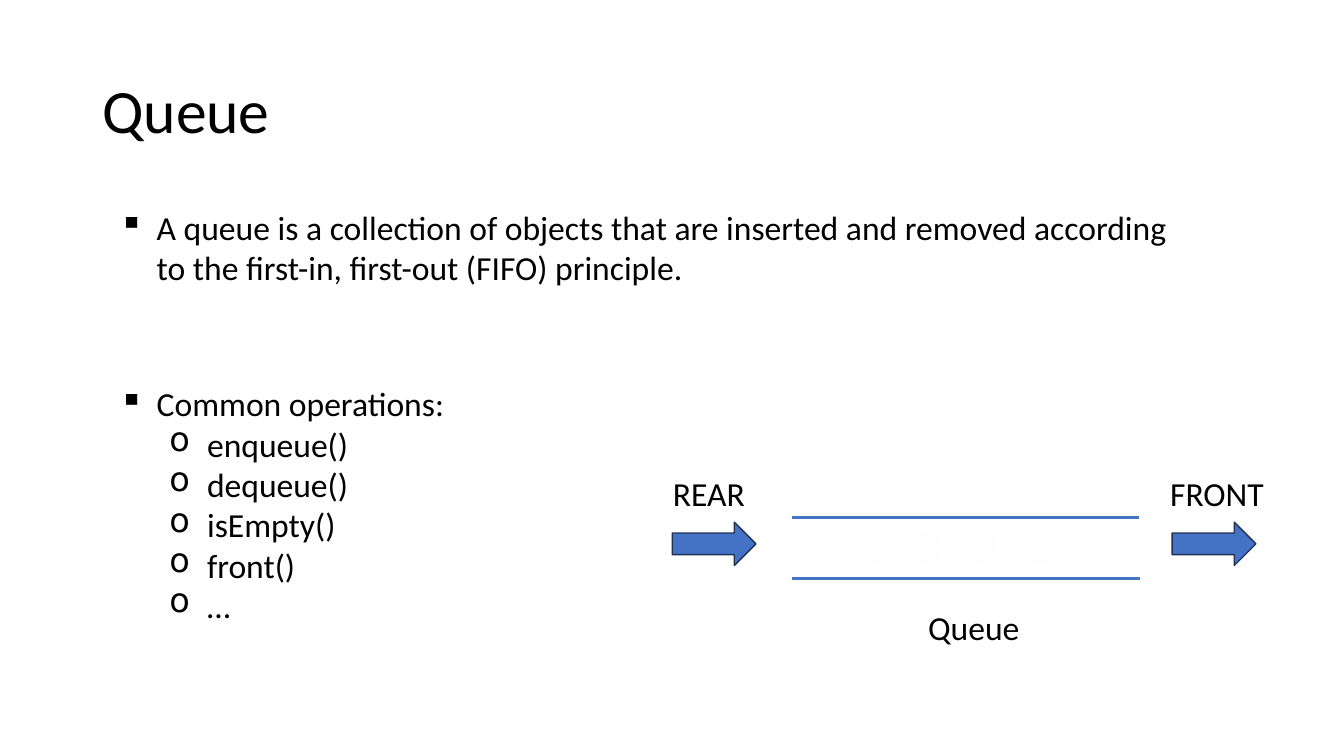
from dataclasses import dataclass

from lxml import etree
from pptx import Presentation
from pptx import util as u
from pptx.dml.color import RGBColor
from pptx.enum import shapes, text
from pptx.oxml import ns

BLACK, BLUE, NAVY, NEAR_WHITE = "000000", "4472C4", "1E3256", "FEFEFE"
BODY = {"name": "Calibri", "size": u.Pt(24)}
HEADING = {"name": "Calibri", "size": u.Pt(44)}
DIGIT = {"name": "Calibri", "size": u.Pt(40), "bold": True}
BULLETS = ("▪", "o")
HANGING = 0.95
LEVEL_INDENTS = (0.95, 2.22)


@dataclass
class Box:
    left: float
    top: float
    width: float
    height: float

    def lengths(self) -> list:
        return [u.Cm(v) for v in (self.left, self.top, self.width, self.height)]


@dataclass
class Item:
    wording: str
    level: int = 0


@dataclass
class Label:
    wording: str
    box: Box


@dataclass
class Rail:
    start: float
    end: float
    y: float


def colour(value: str) -> RGBColor:
    return RGBColor.from_string(value)


def style(font, settings: dict, hue: str = BLACK) -> None:
    for key, value in settings.items():
        setattr(font, key, value)
    font.color.rgb = colour(hue)


def add_frame(slide, box: Box, wrap: bool = True):
    frame = slide.shapes.add_textbox(*box.lengths()).text_frame
    frame.word_wrap = wrap
    return frame


def add_label(slide, label: Label, settings: dict = BODY, wrap: bool = False):
    frame = add_frame(slide, label.box, wrap)
    run = frame.paragraphs[0].add_run()
    run.text = label.wording
    style(run.font, settings)
    return frame


def add_bullets(slide, box: Box, items: list[Item], wrap: bool = True) -> None:
    frame = add_frame(slide, box, wrap)
    for index, item in enumerate(items):
        line = frame.add_paragraph() if index else frame.paragraphs[0]
        line.level = item.level
        props = line._p.get_or_add_pPr()
        props.set("marL", str(u.Cm(LEVEL_INDENTS[item.level])))
        props.set("indent", str(-u.Cm(HANGING)))
        etree.SubElement(props, ns.qn("a:buChar"), char=BULLETS[item.level])
        run = line.add_run()
        run.text = item.wording
        style(run.font, BODY)


def add_rail(slide, rail: Rail) -> None:
    line = slide.shapes.add_connector(
        shapes.MSO_CONNECTOR.STRAIGHT,
        u.Cm(rail.start), u.Cm(rail.y), u.Cm(rail.end), u.Cm(rail.y))
    line.line.color.rgb = colour(BLUE)
    line.line.width = u.Pt(2.25)
    etree.SubElement(line._element.spPr, ns.qn("a:effectLst"))


def add_arrow(slide, box: Box) -> None:
    arrow = slide.shapes.add_shape(shapes.MSO_SHAPE.UP_ARROW, *box.lengths())
    arrow.rotation = 90
    arrow.shadow.inherit = False
    arrow.fill.solid()
    arrow.fill.fore_color.rgb = colour(BLUE)
    arrow.line.color.rgb = colour(NAVY)
    arrow.line.width = u.Pt(1)


def add_queue_digits(slide, box: Box, digits: str) -> None:
    row = add_frame(slide, box).paragraphs[0]
    row.alignment = text.PP_ALIGN.CENTER
    for character in " ".join(digits):
        run = row.add_run()
        run.text = character
        style(run.font, DIGIT, NEAR_WHITE)
        props = run._r.get_or_add_rPr()
        # Widened spaces set the digits apart
        props.set("spc", "1000" if character == " " else "50")
        outline = etree.Element(ns.qn("a:ln"), w=str(u.Pt(0.75)))
        fill = etree.SubElement(outline, ns.qn("a:solidFill"))
        etree.SubElement(fill, ns.qn("a:srgbClr"), val=BLUE)
        props.insert(0, outline)


def main() -> None:
    deck = Presentation()
    deck.slide_width, deck.slide_height = u.Cm(33.87), u.Cm(19.05)
    slide = deck.slides.add_slide(deck.slide_layouts[6])

    # Heading
    heading = add_label(
        slide, Label("Queue", Box(2.33, 1.02, 29.21, 3.68)), HEADING, wrap=True)
    heading.vertical_anchor = text.MSO_ANCHOR.MIDDLE
    heading.paragraphs[0].line_spacing = 0.9

    # Operations
    operations = ("enqueue()", "dequeue()", "isEmpty()", "front()", "…")
    add_bullets(
        slide, Box(2.75, 9.53, 8.79, 8.46),
        [Item("Common operations:"), *(Item(name, 1) for name in operations)],
        wrap=False)

    # Queue diagram
    for rail in (Rail(28.7, 19.96, 13.03), Rail(19.96, 28.73, 14.58)):
        add_rail(slide, rail)
    add_queue_digits(slide, Box(20.35, 12.75, 7.54, 1.96), "1302")
    for left in (30.05, 17.45):
        add_arrow(slide, Box(left, 12.65, 1.09, 2.11))
    for label in (
        Label("Queue", Box(23.14, 15.16, 2.84, 1.27)),
        Label("FRONT", Box(29.24, 11.8, 2.9, 1.27)),
        Label("REAR", Box(16.71, 11.8, 2.34, 1.27)),
    ):
        add_label(slide, label)

    # Definition
    add_bullets(slide, Box(2.75, 5.08, 27.81, 2.31), [Item(
        "A queue is a collection of objects that are inserted and removed "
        "according to the first-in, first-out (FIFO) principle.")])

    deck.save("out.pptx")


if __name__ == "__main__":
    main()
